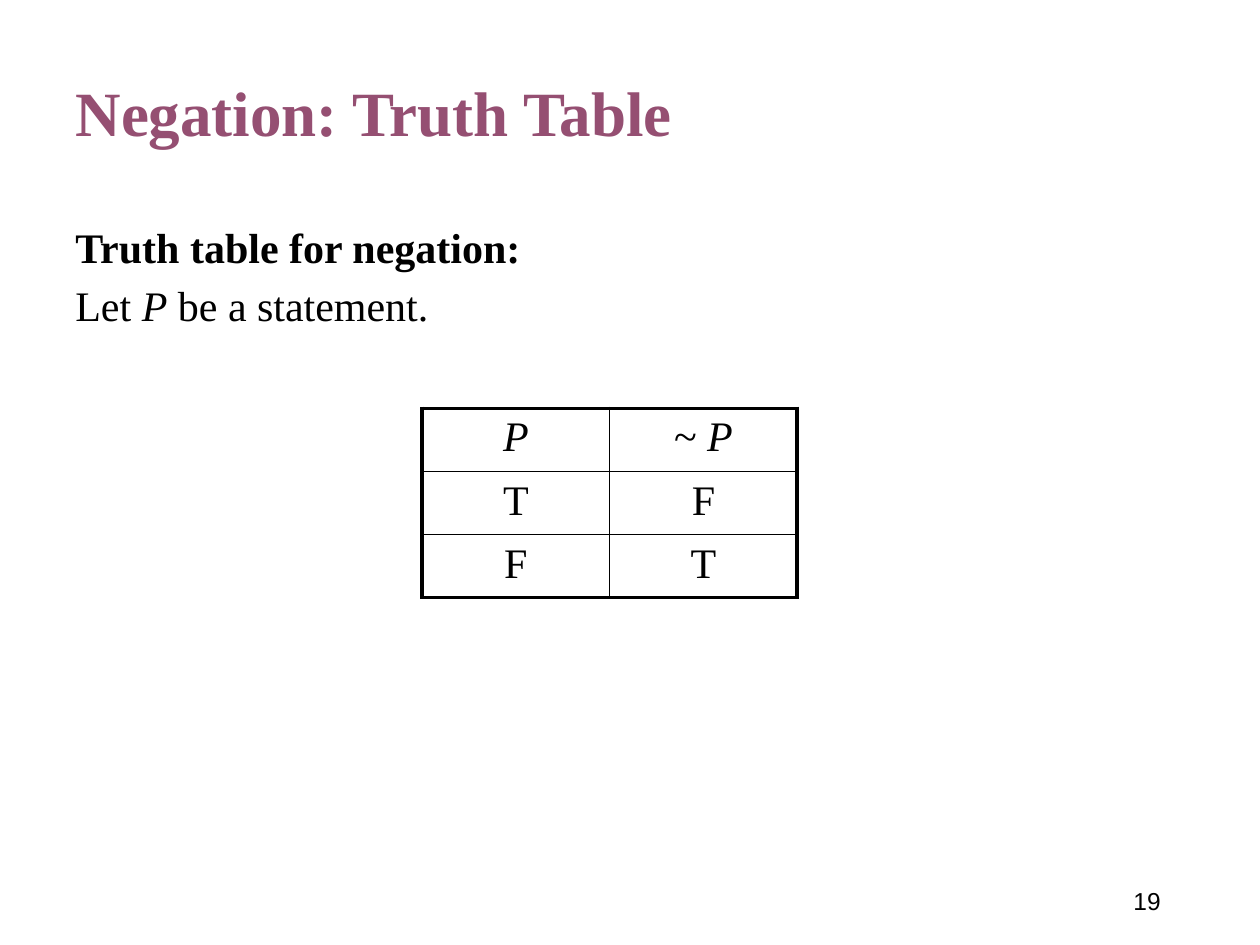
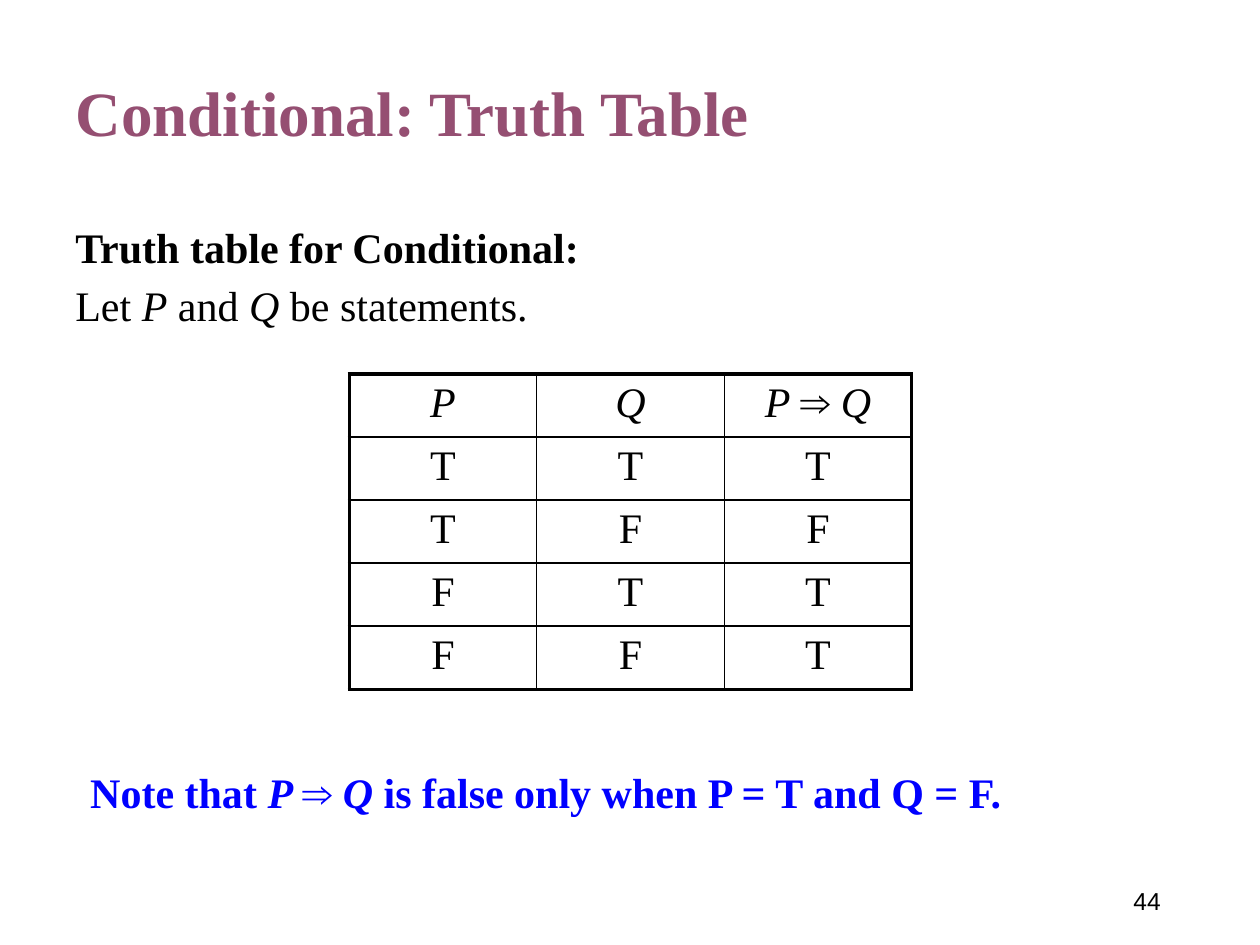
from lxml.etree import SubElement
from pptx import Presentation
from pptx.dml.color import RGBColor
from pptx.enum.text import MSO_ANCHOR, MSO_AUTO_SIZE, PP_ALIGN
from pptx.oxml.ns import qn
from pptx.util import Cm, Pt

PLUM = RGBColor(0x95, 0x4F, 0x72)
BLACK = RGBColor(0x00, 0x00, 0x00)
BLUE = RGBColor(0x00, 0x00, 0xFF)

SERIF = "Times New Roman"
SANS = "Arial"
TITLE_SIZE = 36
TEXT_SIZE = 24
NUMBER_SIZE = 14
LINE_SPACING = 0.9

COLUMN_WIDTH = 3.78
ROW_HEIGHT = 1.27
OUTER_BORDER = 2.25
INNER_BORDER = 1


def write(paragraph, marked_text, size=TEXT_SIZE, color=BLACK, bold=False, family=SERIF):
    font = paragraph.font
    font.name, font.size, font.bold = family, Pt(size), bold
    font.color.rgb = color
    for position, piece in enumerate(marked_text.split("*")):
        if piece:
            run = paragraph.add_run()
            run.text = piece
            run.font.italic = position % 2 == 1


def add_frame(slide, left, top, width, height):
    frame = slide.shapes.add_textbox(Cm(left), Cm(top), Cm(width), Cm(height)).text_frame
    frame.word_wrap = True
    return frame


def add_title(slide, text):
    title = slide.shapes.title
    title.left, title.top, title.width, title.height = Cm(1.27), Cm(0.76), Cm(22.86), Cm(3.18)
    frame = title.text_frame
    frame.auto_size = MSO_AUTO_SIZE.NONE
    frame.vertical_anchor = MSO_ANCHOR.MIDDLE
    heading = frame.paragraphs[0]
    heading.alignment = PP_ALIGN.LEFT
    heading.line_spacing = LINE_SPACING
    write(heading, text, TITLE_SIZE, PLUM, bold=True)


def add_introduction(slide, heading, premise, height):
    frame = add_frame(slide, 1.27, 4.45, 22.78, height)
    lines = [frame.paragraphs[0], frame.add_paragraph()]
    write(lines[0], heading, bold=True)
    write(lines[1], premise)
    for line in lines:
        line.line_spacing = LINE_SPACING
        line.space_before = Pt(7.5)


def add_border(cell, side, width):
    border = SubElement(cell._tc.get_or_add_tcPr(), qn(f"a:ln{side}"), w=str(Pt(width)))
    fill = SubElement(border, qn("a:solidFill"))
    SubElement(fill, qn("a:srgbClr"), val=str(BLACK))


def add_truth_table(slide, left, top, rows):
    row_count, column_count = len(rows), len(rows[0])
    table = slide.shapes.add_table(
        row_count, column_count, Cm(left), Cm(top),
        Cm(COLUMN_WIDTH * column_count), Cm(ROW_HEIGHT * row_count),
    ).table
    table.first_row = table.horz_banding = False
    for row_index, row in enumerate(rows):
        for column_index, value in enumerate(row):
            cell = table.cell(row_index, column_index)
            outer_sides = {
                "L": column_index == 0,
                "R": column_index == column_count - 1,
                "T": row_index == 0,
                "B": row_index == row_count - 1,
            }
            for side, is_outer in outer_sides.items():
                add_border(cell, side, OUTER_BORDER if is_outer else INNER_BORDER)
            cell.fill.background()
            entry = cell.text_frame.paragraphs[0]
            entry.alignment = PP_ALIGN.CENTER
            write(entry, value)


def add_slide_number(slide, number):
    frame = add_frame(slide, 17.93, 17.65, 5.72, 1.02)
    frame.vertical_anchor = MSO_ANCHOR.MIDDLE
    frame.paragraphs[0].alignment = PP_ALIGN.RIGHT
    write(frame.paragraphs[0], str(number), NUMBER_SIZE, family=SANS)


def add_note(slide, text):
    frame = add_frame(slide, 1.57, 15.32, 21.36, 1.27)
    write(frame.paragraphs[0], text, color=BLUE, bold=True)


def add_titled_slide(deck, title, number):
    slide = deck.slides.add_slide(deck.slide_layouts.get_by_name("Title Only"))
    add_title(slide, title)
    add_slide_number(slide, number)
    return slide


def main():
    deck = Presentation()
    deck.slide_width, deck.slide_height = Cm(25.4), Cm(19.05)

    negation = add_titled_slide(deck, "Negation: Truth Table", 19)
    add_introduction(negation, "Truth table for negation:", "Let *P* be a statement.", 12.57)
    add_truth_table(negation, 8.51, 8.23, [("*P*", "~ *P*"), "TF", "FT"])

    conditional = add_titled_slide(deck, "Conditional: Truth Table", 44)
    add_introduction(
        conditional, "Truth table for Conditional:", "Let *P* and *Q *be statements.", 10.13
    )
    add_truth_table(
        conditional, 7.04, 7.54,
        [("*P*", "*Q*", "*P *⇒ *Q*"), "TTT", "TFF", "FTT", "FFT"],
    )
    add_note(conditional, "Note that *P *⇒ *Q *is false only when P = T and Q = F.")

    deck.save("out.pptx")


if __name__ == "__main__":
    main()
